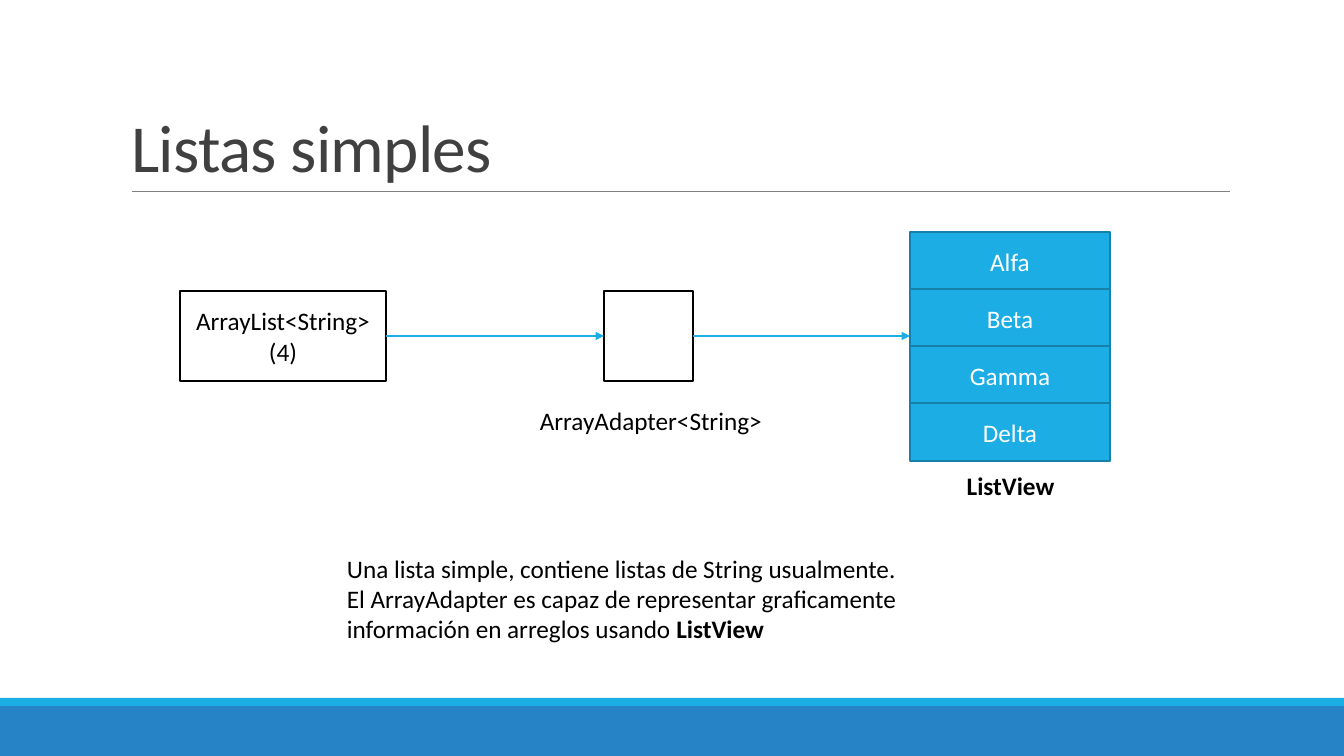
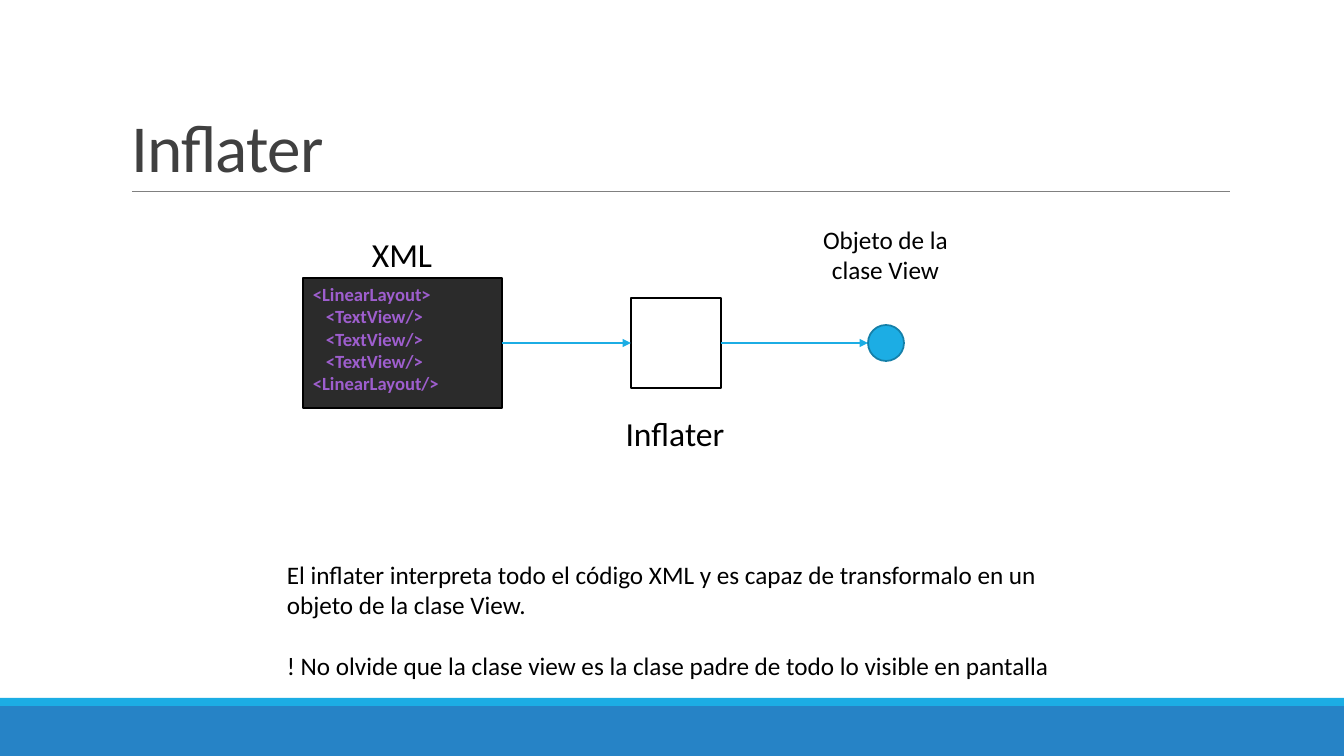
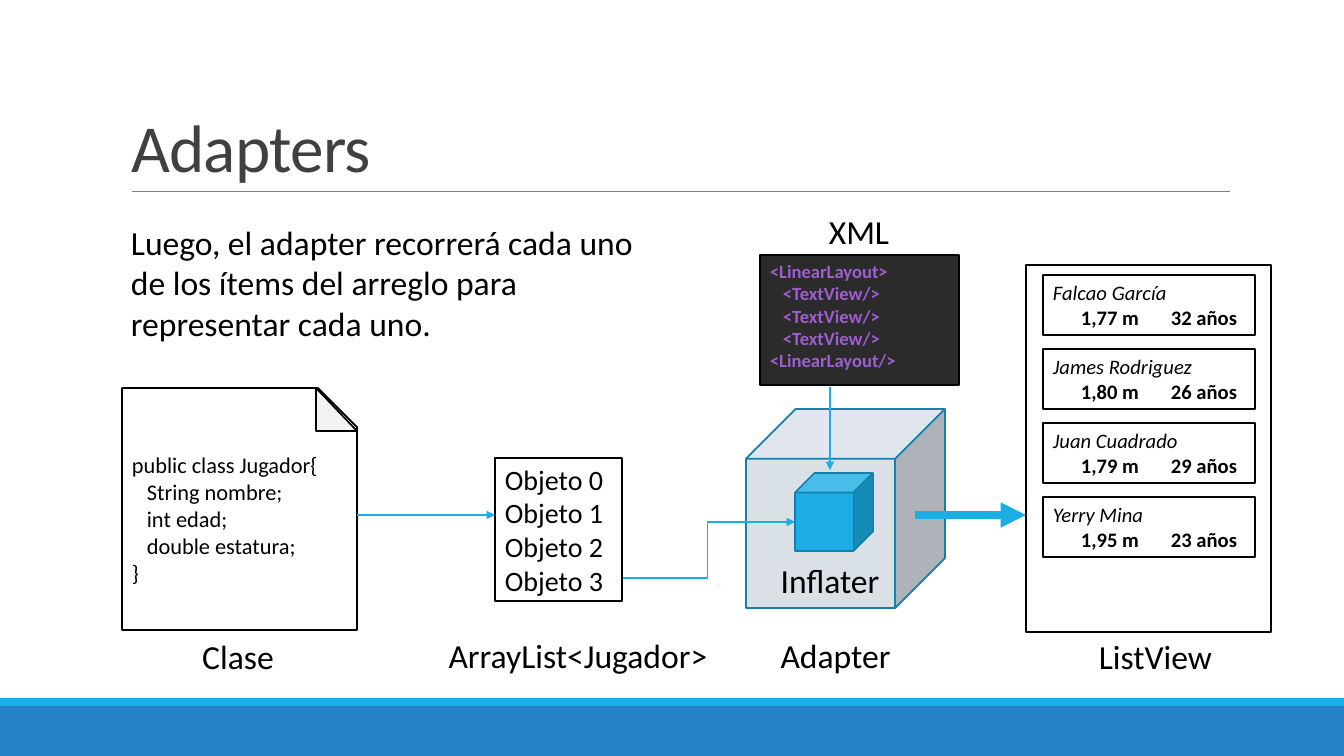
from lxml.etree import SubElement
from pptx import Presentation
from pptx.dml.color import RGBColor
from pptx.enum.shapes import MSO_CONNECTOR, MSO_SHAPE
from pptx.enum.text import MSO_ANCHOR, MSO_AUTO_SIZE, PP_ALIGN
from pptx.oxml.ns import qn
from pptx.util import Emu, Pt

RECT, ELLIPSE, CUBE = MSO_SHAPE.RECTANGLE, MSO_SHAPE.OVAL, MSO_SHAPE.CUBE
SNIPPED, FOLD = MSO_SHAPE.SNIP_1_RECTANGLE, MSO_SHAPE.RIGHT_TRIANGLE
STRAIGHT, ELBOW = MSO_CONNECTOR.STRAIGHT, MSO_CONNECTOR.ELBOW
TOP, MIDDLE, BOTTOM = MSO_ANCHOR.TOP, MSO_ANCHOR.MIDDLE, MSO_ANCHOR.BOTTOM
LEFT, CENTER = PP_ALIGN.LEFT, PP_ALIGN.CENTER
LEFT_SIDE, RIGHT_SIDE = 1, 3

WHITE = RGBColor(0xFF, 0xFF, 0xFF)
BLACK = RGBColor(0x00, 0x00, 0x00)
BLUE = RGBColor(0x26, 0x83, 0xC6)
CYAN = RGBColor(0x1C, 0xAD, 0xE4)
CYAN_EDGE = RGBColor(0x15, 0x80, 0xA9)
GREY = RGBColor(0x80, 0x80, 0x80)
TITLE_GREY = RGBColor(0x40, 0x40, 0x40)
PALE_BLUE = RGBColor(0xD9, 0xE0, 0xE6)
PAPER_GREY = RGBColor(0xF2, 0xF2, 0xF2)
EDITOR = RGBColor(0x2B, 0x2B, 0x2B)
PURPLE = RGBColor(0x9E, 0x5E, 0xCE)

FONT = "Calibri"
SCALE = 914400 / 100.8
WIDTH, HEIGHT = 1344, 756
BOLD = {"bold": True}
ITALIC = {"italic": True}
LAYOUT_CODE = ["<LinearLayout>"] + ["\t<TextView/>"] * 3 + ["<LinearLayout/>"]


def px(n):
    return Emu(round(n * SCALE))


def write(shape, paras, size=18, color=BLACK, bold=False, italic=False, align=LEFT,
          anchor=TOP, wrap=True, tabs=(), after=0, leading=None, tracking=None):
    tf = shape.text_frame
    tf.auto_size = MSO_AUTO_SIZE.NONE
    tf.word_wrap = wrap
    tf.vertical_anchor = anchor
    for i, runs in enumerate(paras):
        p = tf.add_paragraph() if i else tf.paragraphs[0]
        p.alignment = align
        p.space_after = Pt(after)
        if leading:
            p.line_spacing = leading
        if tabs:
            stops = SubElement(p._p.get_or_add_pPr(), qn("a:tabLst"))
            for pos in tabs:
                SubElement(stops, qn("a:tab"), pos=str(px(pos)), algn="l")
        for run in [runs] if isinstance(runs, str) else runs:
            text, style = (run, {}) if isinstance(run, str) else run
            r = p.add_run()
            r.text = text
            f = r.font
            f.name, f.size = FONT, Pt(size)
            f.color.rgb = color
            f.bold = style.get("bold", bold)
            f.italic = style.get("italic", italic)
            if tracking:
                r._r.get_or_add_rPr().set("spc", str(tracking))


def label(s, x, y, w, h, *paras, **fmt):
    sp = s.shapes.add_textbox(px(x), px(y), px(w), px(h))
    write(sp, paras, **fmt)
    return sp


def caption(s, x, y, w, text):
    return label(s, x, y, w, 50, text, size=24, align=CENTER, wrap=False)


def box(s, x, y, w, h, *paras, kind=RECT, fill=WHITE, edge=BLACK, **fmt):
    sp = s.shapes.add_shape(kind, px(x), px(y), px(w), px(h))
    sp.shadow.inherit = False
    sp.fill.solid()
    sp.fill.fore_color.rgb = fill
    if edge is None:
        sp.line.fill.background()
    else:
        sp.line.color.rgb = edge
        sp.line.width = Pt(1.25)
    if paras:
        write(sp, paras, **{"anchor": MIDDLE, **fmt})
    return sp


def line(s, x1, y1, x2, y2, begin=None, end=None, color=CYAN, width=1,
         kind=STRAIGHT, arrow=True):
    c = s.shapes.add_connector(kind, px(x1), px(y1), px(x2), px(y2))
    if begin:
        c.begin_connect(*begin)
    if end:
        c.end_connect(*end)
    c.line.color.rgb = color
    c.line.width = Pt(width)
    spPr = c.element.spPr
    if arrow:
        SubElement(spPr.find(qn("a:ln")), qn("a:tailEnd"), type="triangle")
    SubElement(spPr, qn("a:effectLst"))
    return c


def xml_code(s, x, y):
    caption(s, x + 58, y - 49, 82, "XML")
    return box(s, x, y, 199, 130, *LAYOUT_CODE, fill=EDITOR, size=13.3,
               color=PURPLE, bold=True, anchor=TOP, tabs=[13])


def new_slide(prs, title):
    s = prs.slides.add_slide(prs.slide_layouts[5])
    sp = s.shapes.title
    sp.left, sp.top, sp.width, sp.height = px(121), px(31), px(1109), px(160)
    write(sp, [title], size=48, color=TITLE_GREY, anchor=BOTTOM,
          leading=0.85, tracking=-50)
    return s


def decorate_layout(s):
    layout = s.slide_layout
    for ph in list(layout.placeholders):
        if ph.placeholder_format.idx:
            layout.shapes.element.remove(ph.element)
    decor = [
        box(s, 0, 706, WIDTH, 50, fill=BLUE, edge=None),
        box(s, 0, 698, WIDTH, 8, fill=CYAN, edge=None),
        line(s, 132, 191, 1230, 191, color=GREY, width=0.5, arrow=False),
    ]
    for sp in decor:
        layout.shapes.element.append(sp.element)


def simple_lists(s):
    for i, name in enumerate(["Alfa", "Beta", "Gamma", "Delta"]):
        box(s, 910, 232 + 57 * i, 200, 58, name, fill=CYAN, edge=CYAN_EDGE,
            color=WHITE, align=CENTER)
    label(s, 956, 465, 109, 40, "ListView", bold=True, align=CENTER, wrap=False)
    adapter = box(s, 604, 291, 89, 90)
    label(s, 530, 400, 254, 40, "ArrayAdapter<String>")
    source = box(s, 180, 291, 206, 90, "ArrayList<String>", "(4)", align=CENTER)
    line(s, 386, 336, 604, 336, begin=(source, RIGHT_SIDE), end=(adapter, LEFT_SIDE))
    line(s, 693, 336, 910, 336, begin=(adapter, RIGHT_SIDE))
    label(s, 337, 548, 639, 102,
          "Una lista simple, contiene listas de String usualmente.",
          ["El ArrayAdapter es capaz de representar graficamente información "
           "en arreglos usando ", ("ListView", BOLD)])


def inflater(s):
    code = xml_code(s, 303, 278)
    machine = box(s, 631, 298, 90, 90)
    box(s, 868, 325, 36, 36, kind=ELLIPSE, fill=CYAN, edge=CYAN_EDGE)
    label(s, 798, 219, 175, 72, "Objeto de la clase View", align=CENTER)
    caption(s, 615, 408, 120, "Inflater")
    line(s, 502, 343, 631, 343, begin=(code, RIGHT_SIDE), end=(machine, LEFT_SIDE))
    line(s, 721, 343, 868, 343, begin=(machine, RIGHT_SIDE))
    label(s, 277, 554, 796, 132,
          "El inflater interpreta todo el código XML y es capaz de transformalo "
          "en un objeto de la clase View.",
          "! No olvide que la clase view es la clase padre de todo lo visible en pantalla",
          after=22)


def adapters(s):
    label(s, 121, 217, 530, 132,
          "Luego, el adapter recorrerá cada uno de los ítems del arreglo para "
          "representar cada uno.", size=24)
    box(s, 122, 388, 235, 242, "public class Jugador{", "\tString nombre;",
        "\tint edad;", "\tdouble estatura;", "}", kind=SNIPPED, size=16, tabs=[15])
    box(s, 316, 388, 41, 43, kind=FOLD, fill=PAPER_GREY)
    box(s, 746, 409, 199, 199, kind=CUBE, fill=PALE_BLUE, edge=CYAN_EDGE)
    box(s, 795, 473, 78, 78, kind=CUBE, fill=CYAN, edge=CYAN_EDGE)
    box(s, 1026, 265, 245, 367)
    for x, y, w, text in [(192, 631, 92, "Clase"), (437, 630, 282, "ArrayList<Jugador>"),
                          (770, 630, 131, "Adapter"), (1088, 631, 135, "ListView"),
                          (761, 555, 138, "Inflater")]:
        caption(s, x, y, w, text)
    xml_code(s, 760, 255)
    players = [("Falcao García", "1,77", 32), ("James Rodriguez", "1,80", 26),
               ("Juan Cuadrado", "1,79", 29), ("Yerry Mina", "1,95", 23)]
    for i, (name, stature, age) in enumerate(players):
        box(s, 1043, 275 + 74 * i, 212, 60, [(name, ITALIC)],
            [(f"\t{stature} m\t{age} años", BOLD)], size=14.7, tabs=[28, 118])
    line(s, 915, 515, 1026, 515, width=6)
    line(s, 830, 387, 830, 470)
    line(s, 620, 578, 795, 522, kind=ELBOW)
    box(s, 495, 458, 127, 143, *[f"Objeto {i}" for i in range(4)], size=20)
    line(s, 357, 515, 495, 515)


def main():
    prs = Presentation()
    prs.slide_width, prs.slide_height = px(WIDTH), px(HEIGHT)
    pages = [("Listas simples", simple_lists), ("Inflater", inflater),
             ("Adapters", adapters)]
    for i, (title, fill_page) in enumerate(pages):
        s = new_slide(prs, title)
        if i == 0:
            decorate_layout(s)
        fill_page(s)
    prs.save("out.pptx")


if __name__ == "__main__":
    main()
